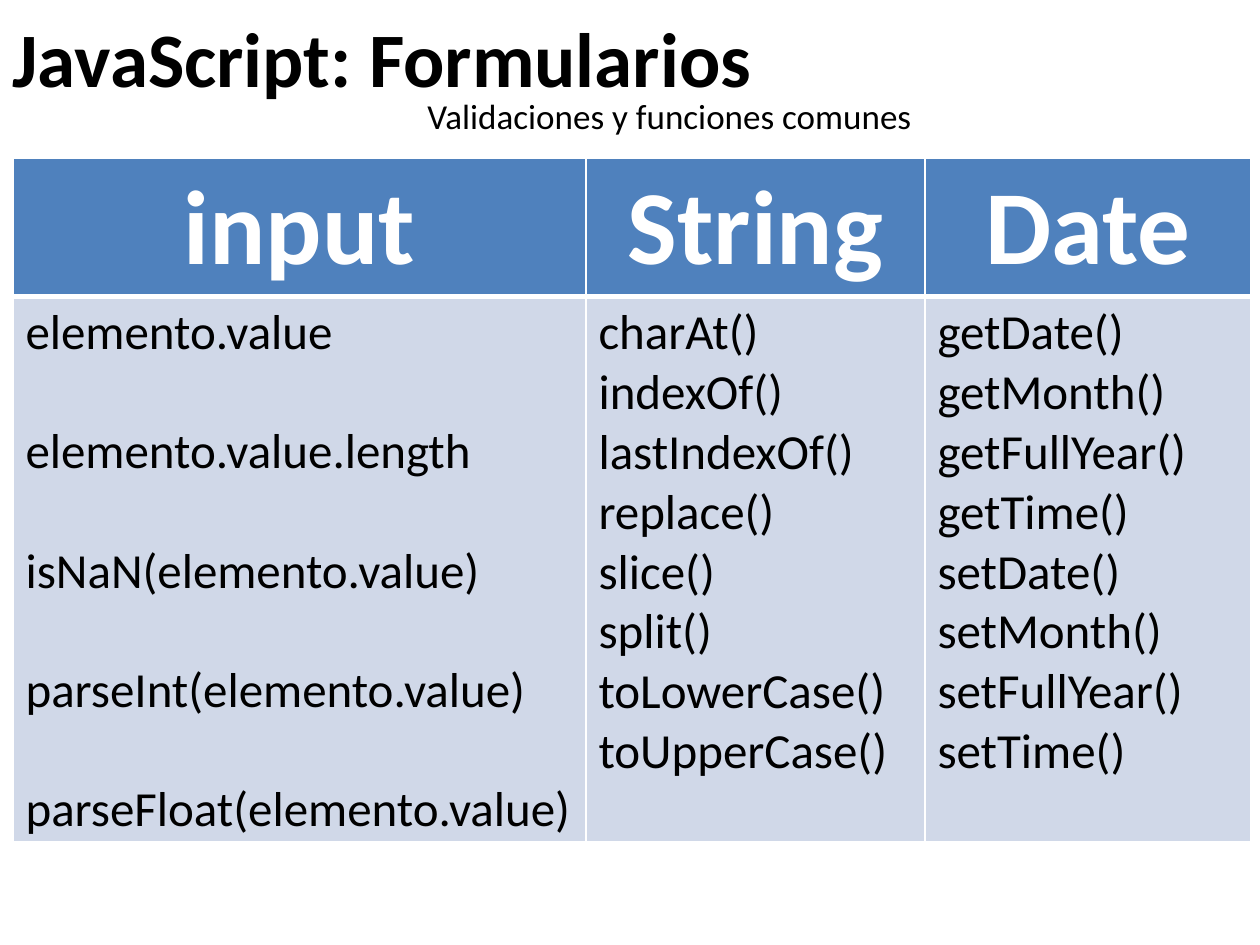
from lxml import etree
from pptx import Presentation
from pptx.dml.color import RGBColor
from pptx.enum.text import MSO_AUTO_SIZE, PP_ALIGN
from pptx.oxml.ns import qn
from pptx.util import Pt

PX = 914400 / 126
BLACK = RGBColor(0, 0, 0)
WHITE = RGBColor(255, 255, 255)
BLUE = RGBColor(0x4F, 0x81, 0xBD)
PALE = RGBColor(0xD0, 0xD8, 0xE8)
CENTER, LEFT = PP_ALIGN.CENTER, PP_ALIGN.LEFT
FIT = MSO_AUTO_SIZE.SHAPE_TO_FIT_TEXT


def px(n):
    return int(n * PX)


def style(p, size, color, bold, align=LEFT):
    p.alignment = align
    p.font.name = "Calibri"
    p.font.size = Pt(size)
    p.font.bold = bold
    p.font.color.rgb = color


prs = Presentation()
prs.slide_width, prs.slide_height = px(1260), px(945)
s = prs.slides.add_slide(prs.slide_layouts[6])

for text, box, size, bold in [
    ("JavaScript: Formularios", (0, 4, 1007, 106), 44, True),
    ("Validaciones y funciones comunes", (415, 88, 522, 55), 20, False),
]:
    tf = s.shapes.add_textbox(*map(px, box)).text_frame
    tf.word_wrap = True
    tf.auto_size = FIT
    p = tf.paragraphs[0]
    p.text = text
    style(p, size, BLACK, bold)

columns = [
    ("input", 573, 34, ["elemento.value", "elemento.value.length",
                        "isNaN(elemento.value)", "parseInt(elemento.value)",
                        "parseFloat(elemento.value)"]),
    ("String", 339, 0, ["charAt()", "indexOf()", "lastIndexOf()", "replace()",
                        "slice()", "split()", "toLowerCase()", "toUpperCase()"]),
    ("Date", 326, 0, ["getDate()", "getMonth()", "getFullYear()", "getTime()",
                      "setDate()", "setMonth()", "setFullYear()", "setTime()"]),
]
gf = s.shapes.add_table(2, 3, px(13), px(158), px(1238), px(680))
table = gf.table
table.horz_banding = False
table.rows[0].height, table.rows[1].height = px(86), px(335)

for c, (heading, width, gap, functions) in enumerate(columns):
    table.columns[c].width = px(width)
    for r, lines in enumerate([[heading], functions]):
        cell = table.cell(r, c)
        cell.text = "\n".join(lines)
        for i, p in enumerate(cell.text_frame.paragraphs):
            if r == 0:
                style(p, 60, WHITE, True, CENTER)
            else:
                style(p, 28, BLACK, False)
                if i and gap:
                    p.space_before = Pt(gap)
        tcPr = cell._tc.get_or_add_tcPr()
        for side in ("lnL", "lnR", "lnT", "lnB"):
            thick = (r, side) in [(0, "lnB"), (1, "lnT")]
            ln = etree.SubElement(tcPr, qn("a:" + side), w=str(Pt(3 if thick else 1)))
            fill = etree.SubElement(ln, qn("a:solidFill"))
            etree.SubElement(fill, qn("a:srgbClr"), val=str(WHITE))
        cell.fill.solid()
        cell.fill.fore_color.rgb = PALE if r else BLUE

gf.height = px(680)
prs.save("out.pptx")
